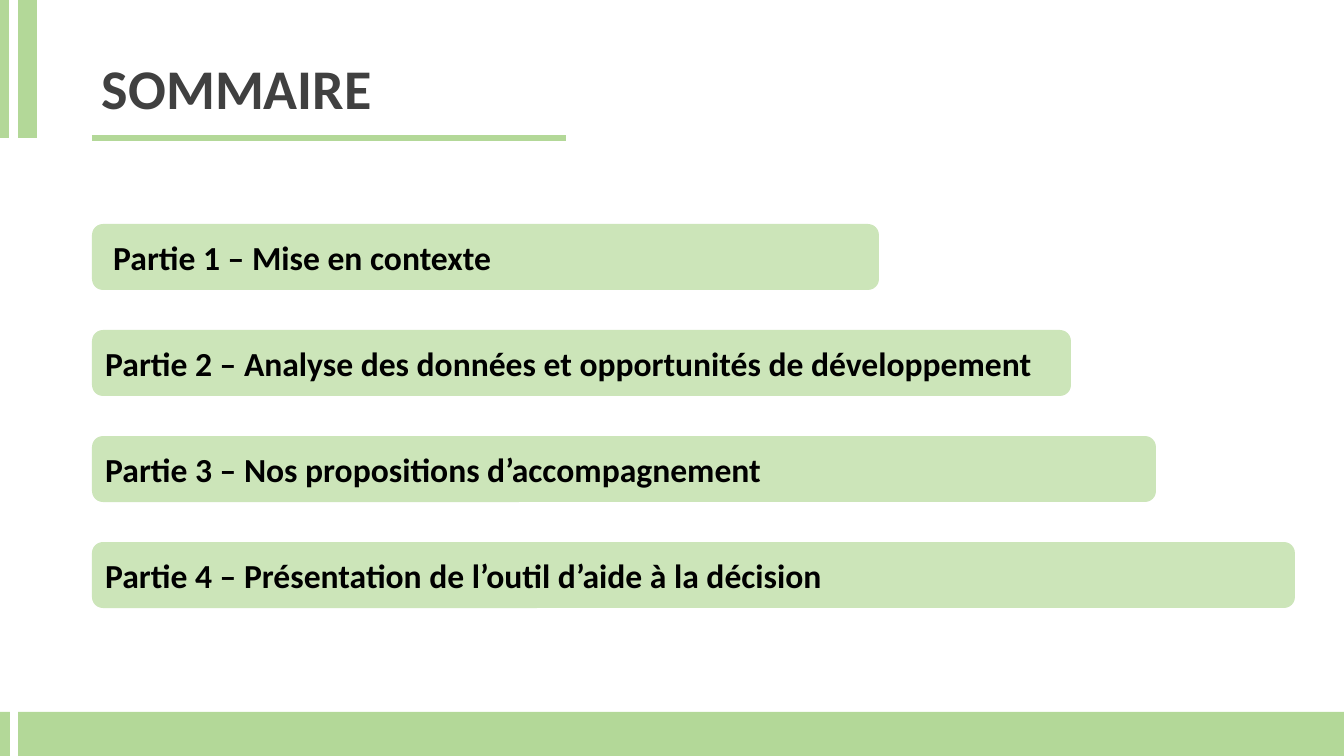
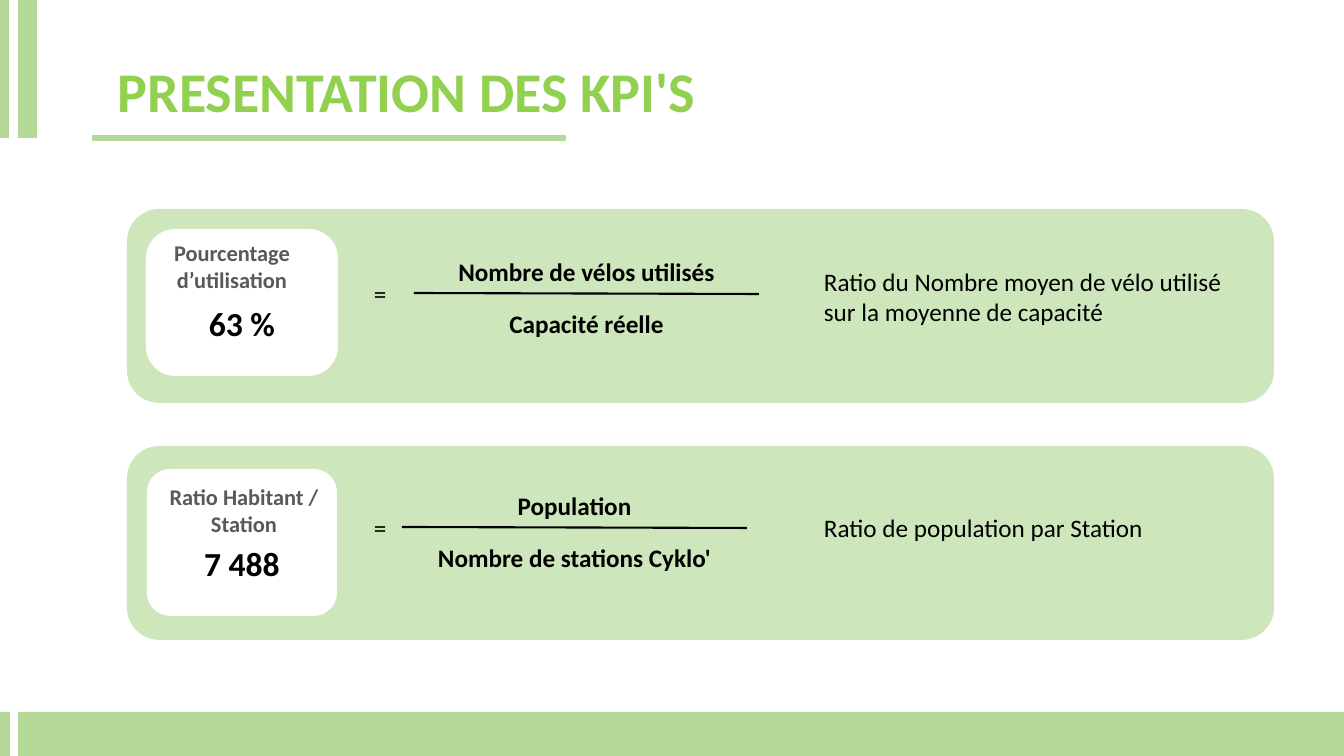
from dataclasses import dataclass
from typing import NamedTuple, Optional, Union

from lxml.etree import SubElement
from pptx import Presentation
from pptx.dml.color import RGBColor as RGB
from pptx.enum.shapes import MSO_CONNECTOR as CONN, MSO_SHAPE as SHAPE
from pptx.enum.text import MSO_ANCHOR as ANCHOR, PP_ALIGN as ALIGN
from pptx.oxml.ns import qn
from pptx.shapes.autoshape import Shape
from pptx.shapes.shapetree import GroupShapes, SlideShapes
from pptx.slide import Slide
from pptx.util import Emu, Pt

Shapes = Union[SlideShapes, GroupShapes]
EMU_PER_PX = 12_192_000 / 1344


@dataclass(frozen=True)
class Theme:
    font: str = "Calibri"
    band: RGB = RGB(0xB3, 0xD8, 0x98)
    bar: RGB = RGB(0xCC, 0xE5, 0xB9)
    panel: RGB = RGB(0xCE, 0xE6, 0xBC)
    card: RGB = RGB(0xFF, 0xFF, 0xFF)
    ink: RGB = RGB(0x00, 0x00, 0x00)
    label: RGB = RGB(0x59, 0x59, 0x59)
    title_dark: RGB = RGB(0x40, 0x40, 0x40)
    title_green: RGB = RGB(0x92, 0xD0, 0x50)
    title_size: int = 40
    strong_size: int = 24
    body_size: int = 18
    label_size: int = 16


THEME = Theme()


class Box(NamedTuple):
    x: int
    y: int
    w: int
    h: int


class Part(NamedTuple):
    text: str
    width: int
    indent: int = 10


@dataclass(frozen=True)
class Kpi:
    label: str
    value: str
    numerator: str
    denominator: str
    meaning: str
    panel_y: int
    card: Box
    card_round: float
    label_box: Box
    formula_x: int
    formula_y: int
    meaning_y: int


BANDS = [Box(18, 712, 1326, 44), Box(0, 712, 10, 44),
         Box(0, 0, 9, 138), Box(18, 0, 19, 138)]

PARTS = [
    Part("Partie 1 – Mise en contexte", 787, indent=18),
    Part("Partie 2 – Analyse des données et opportunités de développement", 979),
    Part("Partie 3 – Nos propositions d’accompagnement", 1064),
    Part("Partie 4 – Présentation de l’outil d’aide à la décision", 1203),
]

KPIS = [
    Kpi("Pourcentage d’utilisation", "63 %",
        "Nombre de vélos utilisés", "Capacité réelle",
        "Ratio du Nombre moyen de vélo utilisé sur la moyenne de capacité",
        panel_y=209, card=Box(146, 229, 192, 147), card_round=0.2,
        label_box=Box(147, 234, 170, 64),
        formula_x=414, formula_y=251, meaning_y=261),
    Kpi("Ratio Habitant / Station", "7 488",
        "Population", "Nombre de stations Cyklo'",
        "Ratio de population par Station",
        panel_y=446, card=Box(147, 469, 190, 147), card_round=0.16,
        label_box=Box(147, 478, 194, 64),
        formula_x=402, formula_y=485, meaning_y=507),
]


def px(n: int) -> Emu:
    return Emu(round(n * EMU_PER_PX))


def add_block(shapes: Shapes, box: Box, fill: RGB, kind: SHAPE = SHAPE.RECTANGLE,
              rounding: Optional[float] = None) -> Shape:
    """Add a flat, borderless shape."""
    sp = shapes.add_shape(kind, *map(px, box))
    sp.shadow.inherit = False
    sp.fill.solid()
    sp.fill.fore_color.rgb = fill
    sp.line.fill.background()
    if rounding is not None:
        sp.adjustments[0] = rounding
    return sp


def write(sp: Shape, text: str, size: int, color: RGB = THEME.ink, bold: bool = False,
          align: ALIGN = ALIGN.LEFT, anchor: ANCHOR = ANCHOR.TOP) -> None:
    tf = sp.text_frame
    tf.word_wrap = True
    tf.vertical_anchor = anchor
    p = tf.paragraphs[0]
    p.text = text
    p.alignment = align
    p.font.name = THEME.font
    p.font.size = Pt(size)
    p.font.bold = bold
    p.font.color.rgb = color


def add_text(shapes: Shapes, box: Box, text: str, size: int, color: RGB = THEME.ink,
             bold: bool = False, align: ALIGN = ALIGN.LEFT,
             anchor: ANCHOR = ANCHOR.TOP) -> Shape:
    sp = shapes.add_textbox(*map(px, box))
    write(sp, text, size, color, bold, align, anchor)
    return sp


def add_line(shapes: Shapes, x1: int, y1: int, x2: int, y2: int,
             color: RGB, width: float) -> None:
    line = shapes.add_connector(CONN.STRAIGHT, px(x1), px(y1), px(x2), px(y2))
    line.line.color.rgb = color
    line.line.width = Pt(width)
    SubElement(line.element.spPr, qn("a:effectLst"))


def add_frame(slide: Slide, title: str, x: int, y: int, color: RGB) -> None:
    """Draw the bands, title and title rule that every slide shares."""
    for band in BANDS:
        add_block(slide.shapes, band, THEME.band)
    add_line(slide.shapes, 92, 138, 566, 138, THEME.band, 4.5)
    sp = add_text(slide.shapes, Box(x, y, 1159, 146), title, THEME.title_size, color,
                  bold=True, anchor=ANCHOR.MIDDLE)
    sp.text_frame.paragraphs[0].line_spacing = 0.9


def add_part(shapes: Shapes, index: int, part: Part) -> None:
    box = Box(92, 224 + 106 * index, part.width, 66)
    sp = add_block(shapes, box, THEME.bar, SHAPE.ROUNDED_RECTANGLE)
    write(sp, part.text, THEME.strong_size, bold=True, anchor=ANCHOR.MIDDLE)
    sp.text_frame.margin_left = px(part.indent)


def add_formula(shapes: Shapes, kpi: Kpi) -> None:
    x, y, width = kpi.formula_x, kpi.formula_y, 345
    add_text(shapes, Box(364, y + 22, 40, 40), "=", THEME.body_size)
    for term, top in ((kpi.numerator, y), (kpi.denominator, y + 52)):
        add_text(shapes, Box(x, top, width, 40), term, THEME.body_size,
                 bold=True, align=ALIGN.CENTER)
    add_line(shapes, x, y + 42, x + width, y + 43, THEME.ink, 1.5)


def add_kpi(slide: Slide, kpi: Kpi) -> None:
    add_block(slide.shapes, Box(127, kpi.panel_y, 1147, 194), THEME.panel,
              SHAPE.ROUNDED_RECTANGLE)
    shapes = slide.shapes.add_group_shape().shapes
    card = add_block(shapes, kpi.card, THEME.card, SHAPE.ROUNDED_RECTANGLE, kpi.card_round)
    write(card, kpi.value, THEME.strong_size, bold=True, align=ALIGN.CENTER,
          anchor=ANCHOR.MIDDLE)
    card.text_frame.margin_top = px(46)
    add_text(shapes, kpi.label_box, kpi.label, THEME.label_size, THEME.label,
             bold=True, align=ALIGN.CENTER)
    add_formula(shapes, kpi)
    add_text(shapes, Box(814, kpi.meaning_y, 434, 72), kpi.meaning, THEME.body_size)


def main() -> None:
    prs = Presentation()
    prs.slide_width, prs.slide_height = px(1344), px(756)
    blank = prs.slide_layouts[6]

    summary = prs.slides.add_slide(blank)
    add_frame(summary, "SOMMAIRE", 92, 18, THEME.title_dark)
    for i, part in enumerate(PARTS):
        add_part(summary.shapes, i, part)

    indicators = prs.slides.add_slide(blank)
    add_frame(indicators, "PRESENTATION DES KPI'S", 108, 21, THEME.title_green)
    for kpi in KPIS:
        add_kpi(indicators, kpi)

    prs.save("out.pptx")


if __name__ == "__main__":
    main()
